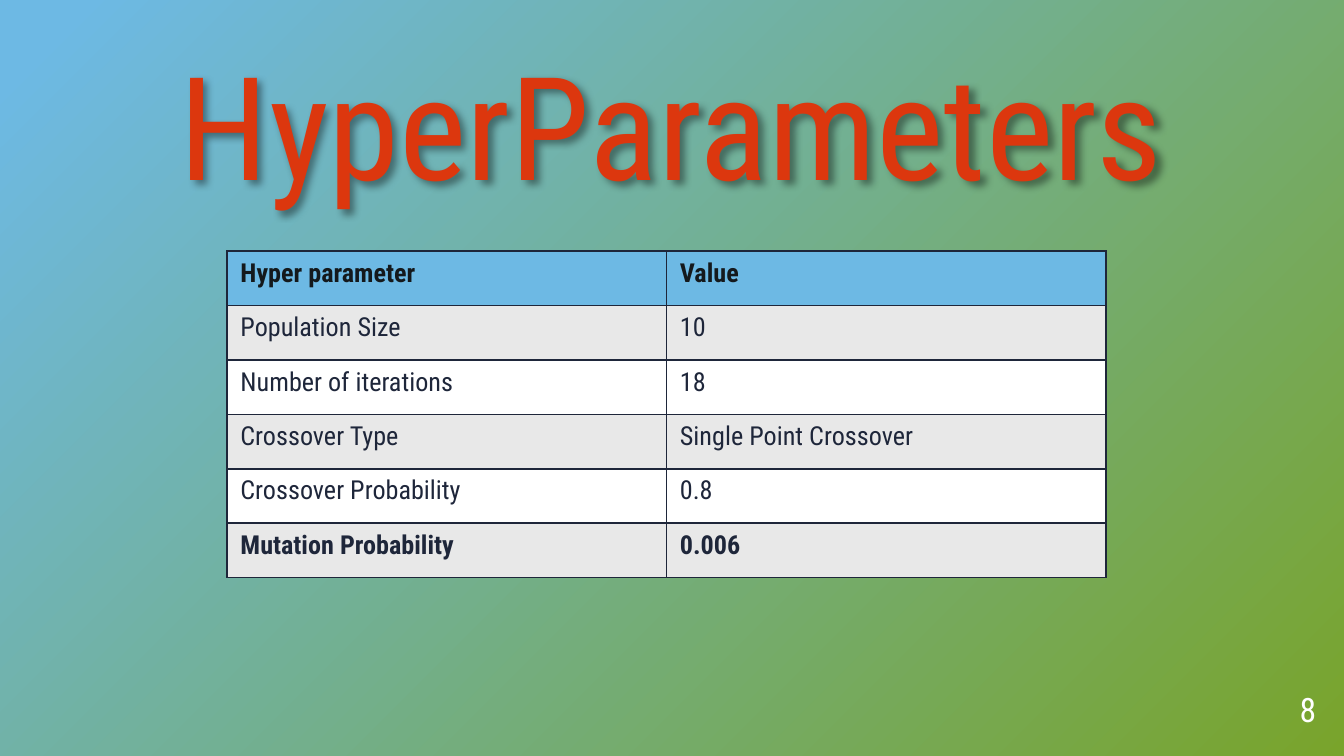
"""Build the HyperParameters slide with its table of settings."""
from pptx import Presentation
from pptx.dml.color import RGBColor
from pptx.enum.text import MSO_ANCHOR, PP_ALIGN
from pptx.oxml import parse_xml
from pptx.oxml.ns import nsdecls, qn
from pptx.util import Pt

PX = 914400 / 134.4
FONT = "Roboto Condensed"
HUES = {
    "green": "79A42B", "sky": "6DB9E4", "red": "DC370E", "white": "FFFFFF",
    "grey": "E8E8E8", "ink": "14191C", "navy": "1E263A",
}
ROWS = [
    ("Hyper parameter", "Value"),
    ("Population Size", "10"),
    ("Number of iterations", "18"),
    ("Crossover Type", "Single Point Crossover"),
    ("Crossover Probability", "0.8"),
    ("Mutation Probability", "0.006"),
]
LABELS = [
    ("8", (1235, 683, 81, 47), PP_ALIGN.RIGHT, 0.9, {"size": Pt(18)}, "white"),
    ("HyperParameters", (0, 39, 1344, 169), PP_ALIGN.CENTER, 0.8, {"size": Pt(77)}, "red"),
]
GRID = (227, 251, 879, 327)
STOPS = [(0, "green"), (96, "sky"), (100, "sky")]


def emu(*sizes):
    return [round(size * PX) for size in sizes]


def style(run, form, hue):
    for key, value in {"name": FONT, **form}.items():
        setattr(run.font, key, value)
    run.font.color.rgb = RGBColor.from_string(HUES[hue])


def paint(slide):
    slide.background.fill.gradient()
    old = slide.element.find(".//" + qn("a:gradFill"))
    stops = "".join(
        f'<a:gs pos="{pos * 1000}"><a:srgbClr val="{HUES[hue]}"/></a:gs>' for pos, hue in STOPS
    )
    new = parse_xml(
        f'<a:gradFill {nsdecls("a")} rotWithShape="1"><a:gsLst>{stops}</a:gsLst>'
        '<a:path path="circle"><a:fillToRect l="100000" t="100000"/></a:path></a:gradFill>'
    )
    old.getparent().replace(old, new)


def label(slide, text, box, align, gap, form, hue):
    shape = slide.shapes.add_textbox(*emu(*box))
    frame = shape.text_frame
    sides = {f"margin_{side}": 0 for side in ("left", "top", "right", "bottom")}
    for key, value in {**sides, "word_wrap": True, "vertical_anchor": MSO_ANCHOR.BOTTOM}.items():
        setattr(frame, key, value)
    para = frame.paragraphs[0]
    para.alignment, para.line_spacing = align, gap
    run = para.add_run()
    run.text = text
    style(run, form, hue)
    return shape


def shade(shape):
    shape.element.spPr.append(parse_xml(
        f'<a:effectLst {nsdecls("a")}><a:outerShdw blurRad="50800" dist="38100" dir="2700000">'
        '<a:srgbClr val="000000"><a:alpha val="40000"/></a:srgbClr></a:outerShdw></a:effectLst>'
    ))


def edge(cell):
    props = cell._tc.get_or_add_tcPr()
    for side in "LRTB":
        props.append(parse_xml(
            f'<a:ln{side} {nsdecls("a")} w="12700"><a:solidFill>'
            f'<a:srgbClr val="{HUES["navy"]}"/></a:solidFill></a:ln{side}>'
        ))


def grid(slide):
    table = slide.shapes.add_table(len(ROWS), len(ROWS[0]), *emu(*GRID)).table
    for i, row in enumerate(ROWS):
        fill = "sky" if i == 0 else "grey" if i % 2 else "white"
        bold = i in (0, len(ROWS) - 1)
        for j, text in enumerate(row):
            cell = table.cell(i, j)
            edge(cell)
            cell.fill.solid()
            cell.fill.fore_color.rgb = RGBColor.from_string(HUES[fill])
            run = cell.text_frame.paragraphs[0].add_run()
            run.text = text
            style(run, {"size": Pt(14), "bold": bold}, "navy" if i else "ink")


def main():
    deck = Presentation()
    deck.slide_width, deck.slide_height = emu(1344, 756)
    slide = deck.slides.add_slide(deck.slide_layouts[6])
    paint(slide)
    number, title = [label(slide, *item) for item in LABELS]
    shade(title)
    grid(slide)
    deck.save("out.pptx")


if __name__ == "__main__":
    main()
